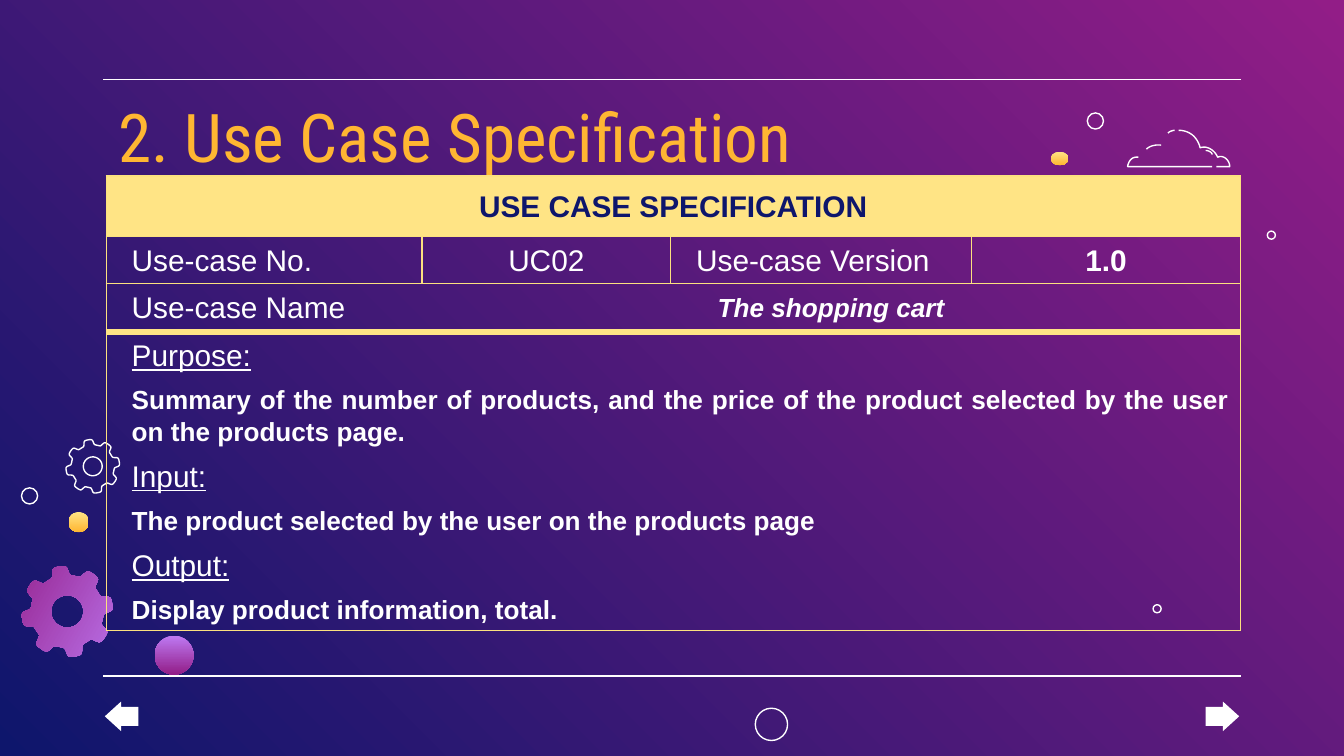
import math
from dataclasses import dataclass
from pptx import Presentation, util as u
from pptx.dml.color import RGBColor
from pptx.enum import shapes, text
from pptx.oxml import parse_xml
from pptx.oxml.ns import nsdecls


@dataclass(frozen=True)
class Theme:
    white: str = "FFFFFF"
    navy: str = "0E166C"
    magenta: str = "921D87"
    violet: str = "BE7AF3"
    yellow: str = "FFE485"
    amber: str = "FFB632"
    border: str = "FCE17F"
    title_font: str = "Roboto Condensed"
    body_font: str = "Arial"
    title: int = 36
    label: int = 16
    value: int = 14
    thin: float = 0.75
    thick: float = 4


T = Theme()
PURPLE = (T.violet, T.magenta)
GOLD = (T.yellow, T.amber)
WIDTH = 10
HEIGHT = WIDTH * 9 / 16
TITLE = "2. Use Case Specification"

HEAD = dict(size=T.label, color=T.navy, bold=True, align="CENTER")
LABEL = dict(size=T.label)
CODE = dict(size=T.label, align="CENTER")
VERSION = dict(size=T.label, bold=True, align="CENTER")
NAME = dict(size=T.value, bold=True, italic=True, align="CENTER")
TOPIC = dict(size=T.label, underline=True)
DETAIL = dict(size=T.value, bold=True)

COLS = [2.35, 1.85, 2.24, 2]
ROWS = [0.45, 0.35, 0.36, 2.22]
CELLS = [
    (0, 0, 4, [("USE CASE SPECIFICATION", HEAD)]),
    (1, 0, 1, [("Use-case No.", LABEL)]),
    (1, 1, 1, [("UC02", CODE)]),
    (1, 2, 1, [("Use-case Version", LABEL)]),
    (1, 3, 1, [("1.0", VERSION)]),
    (2, 0, 1, [("Use-case Name", LABEL)]),
    (2, 1, 3, [("The shopping cart", NAME)]),
    (3, 0, 4, [
        ("Purpose:", TOPIC),
        ("Summary of the number of products, and the price of the product "
         "selected by the user on the products page.", DETAIL),
        ("Input:", TOPIC),
        ("The product selected by the user on the products page", DETAIL),
        ("Output:", TOPIC),
        ("Display product information, total.", DETAIL),
    ]),
]

RULES = [0.59, 5.03]
ARROWS = [("LEFT_ARROW", 0.78), ("RIGHT_ARROW", 8.97)]
GEARS = [(0.5, 4.55, 0.34, 0.27, 0.12, PURPLE), (0.69, 3.47, 0.2, 0.16, 0.07, None)]
DOTS_BACK = [
    (1.15, 4.73, 0.29, 0.29, PURPLE),
    (5.62, 5.27, 0.24, 0.24, None),
    (0.51, 3.81, 0.15, 0.15, GOLD),
    (0.16, 3.63, 0.12, 0.12, None),
]
DOTS_FRONT = [
    (8.58, 4.5, 0.06, 0.06, None),
    (7.82, 1.13, 0.13, 0.1, GOLD),
    (9.43, 1.72, 0.06, 0.06, None),
    (8.09, 0.84, 0.12, 0.12, None),
]
CLOUD = [
    [(8.77, 0.97), (8.85, 0.97, 8.91, 1.02, 8.93, 1.1), (8.98, 1.08, 9.04, 1.12, 9.06, 1.17),
     (9.1, 1.15, 9.15, 1.19, 9.15, 1.24), (9.05, 1.24)],
    [(8.74, 0.97), (8.74, 0.97, 8.71, 0.97, 8.69, 0.99)],
    [(9.02, 1.24), (8.39, 1.24), (8.39, 1.24, 8.4, 1.16, 8.47, 1.17)],
    [(8.97, 1.12), (8.97, 1.12, 9.01, 1.12, 9.02, 1.15)],
    [(8.64, 1.08), (8.64, 1.08, 8.57, 1.07, 8.53, 1.11)],
]


def rgb(color):
    return RGBColor.from_string(color)


def gradient(fill, colors, angle):
    fill.gradient()
    fill.gradient_angle = angle
    for stop, color, pos in zip(fill.gradient_stops, colors, (0, 1)):
        stop.color.rgb = rgb(color)
        stop.position = pos


def outline(line):
    line.color.rgb = rgb(T.white)
    line.width = u.Pt(T.thin)


def paint(sp, colors):
    sp.shadow.inherit = False
    if colors:
        gradient(sp.fill, colors, 270)
        sp.line.fill.background()
    else:
        sp.fill.background()
        outline(sp.line)


def freeform(s, contours, close, colors=None):
    contours = [[(u.Inches(x), u.Inches(y)) for x, y in c] for c in contours]
    fb = s.shapes.build_freeform(*contours[0][0], scale=1.0)
    for i, pts in enumerate(contours):
        if i:
            fb.move_to(*pts[0])
        fb.add_line_segments(pts[1:], close=close)
    sp = fb.convert_to_shape()
    paint(sp, colors)
    return sp


def gear(s, cx, cy, tip, root, hole, colors):
    def ring(radius):
        angles = [math.radians(a) for a in range(0, 360, 2)]
        return [(cx + radius(a) * math.cos(a), cy + radius(a) * math.sin(a)) for a in angles]

    def teeth(a):
        wave = math.tanh(3 * math.cos(8 * (a - math.radians(5))))
        return (tip + root) / 2 + (tip - root) / 2 * wave

    freeform(s, [ring(teeth), ring(lambda a: hole)], True, colors).rotation = 120


def dots(s, items):
    for *box, colors in items:
        sp = s.shapes.add_shape(shapes.MSO_SHAPE.OVAL, *map(u.Inches, box))
        paint(sp, colors)


def stroke(start, *steps):
    pts = [start]
    for step in steps:
        if len(step) == 2:
            pts.append(step)
            continue
        knots = [pts[-1], step[:2], step[2:4], step[4:]]
        for t in (i / 12 for i in range(1, 13)):
            weights = [math.comb(3, k) * t ** k * (1 - t) ** (3 - k) for k in range(4)]
            pts.append(tuple(sum(w * q[d] for w, q in zip(weights, knots)) for d in (0, 1)))
    return pts


def borders(cell, row, col, start, span):
    last = start + span - 1
    top, bottom = (T.thick if row == r else T.thin for r in (3, 2))
    left = T.thin if col == start and (row, col) != (2, 1) else 0
    right = T.thin if col in (start, last) and (row, col) != (2, 0) else 0
    tcPr = cell._tc.get_or_add_tcPr()
    for side, width in zip("LRTB", (left, right, top, bottom)):
        color = T.yellow if width == T.thick else T.border
        fill = f'<a:solidFill><a:srgbClr val="{color}"/></a:solidFill>' if width else "<a:noFill/>"
        tcPr.append(parse_xml(
            f'<a:ln{side} {nsdecls("a")} w="{u.Pt(width)}">{fill}</a:ln{side}>'))


def write(tf, items):
    for i, (line, style) in enumerate(items):
        p = tf.paragraphs[0] if i == 0 else tf.add_paragraph()
        p.text = line
        align = style.get("align", "JUSTIFY")
        p.alignment = text.PP_ALIGN[align]
        if align == "JUSTIFY":
            p._p.get_or_add_pPr().set("marL", str(u.Inches(0.11)))
        p.line_spacing = 1.07
        p.space_before = u.Pt(3 if i else 0)
        p.space_after = u.Pt(3)
        f = p.runs[0].font
        f.name, f.size = T.body_font, u.Pt(style["size"])
        f.color.rgb = rgb(style.get("color", T.white))
        f.bold, f.italic = style.get("bold", False), style.get("italic", False)
        f.underline = style.get("underline", False)


def spec_table(s):
    box = map(u.Inches, (0.79, 1.31, sum(COLS), sum(ROWS)))
    tbl = s.shapes.add_table(len(ROWS), len(COLS), *box).table
    tbl.first_row = tbl.horz_banding = False
    for col, width in zip(tbl.columns, COLS):
        col.width = u.Inches(width)
    for row, height in zip(tbl.rows, ROWS):
        row.height = u.Inches(height)
    for r, c, span, items in CELLS:
        for k in range(c, c + span):
            cell = tbl.cell(r, k)
            borders(cell, r, k, c, span)
            if r == 0:
                cell.fill.solid()
                cell.fill.fore_color.rgb = rgb(T.yellow)
            else:
                cell.fill.background()
        cell = tbl.cell(r, c)
        if span > 1:
            cell.merge(tbl.cell(r, c + span - 1))
        cell.margin_left = cell.margin_right = u.Inches(0.08)
        cell.margin_top = cell.margin_bottom = u.Inches(0.04)
        centred = items[0][1].get("align") == "CENTER"
        cell.vertical_anchor = text.MSO_ANCHOR.MIDDLE if centred else text.MSO_ANCHOR.TOP
        write(cell.text_frame, items)


def title(s):
    sp = s.shapes.title
    sp.left, sp.top, sp.width, sp.height = map(u.Inches, (0.78, 0.61, 8.44, 0.66))
    tf = sp.text_frame
    tf.text = TITLE
    tf.auto_size = text.MSO_AUTO_SIZE.NONE
    tf.vertical_anchor = text.MSO_ANCHOR.TOP
    tf.margin_left = tf.margin_right = tf.margin_top = tf.margin_bottom = u.Inches(0.1)
    p = tf.paragraphs[0]
    p.alignment = text.PP_ALIGN.LEFT
    f = p.runs[0].font
    f.name, f.size, f.color.rgb = T.title_font, u.Pt(T.title), rgb(T.amber)


def main():
    prs = Presentation()
    prs.slide_width, prs.slide_height = u.Inches(WIDTH), u.Inches(HEIGHT)
    s = prs.slides.add_slide(prs.slide_layouts[5])
    gradient(s.background.fill, (T.magenta, T.navy), 225)
    title(s)
    for y in RULES:
        ends = map(u.Inches, (0.77, y, 9.23, y))
        cx = s.shapes.add_connector(shapes.MSO_CONNECTOR.STRAIGHT, *ends)
        outline(cx.line)
        cx._element.spPr.append(parse_xml(f'<a:effectLst {nsdecls("a")}/>'))
    for kind, x in ARROWS:
        sp = s.shapes.add_shape(shapes.MSO_SHAPE[kind], *map(u.Inches, (x, 5.22, 0.25, 0.22)))
        sp.adjustments[0], sp.adjustments[1] = 0.64, 0.55
        sp.shadow.inherit = False
        sp.fill.solid()
        sp.fill.fore_color.rgb = rgb(T.white)
        sp.line.fill.background()
    for item in GEARS:
        gear(s, *item)
    dots(s, DOTS_BACK)
    spec_table(s)
    dots(s, DOTS_FRONT)
    for steps in CLOUD:
        freeform(s, [stroke(*steps)], False)
    prs.save("out.pptx")


if __name__ == "__main__":
    main()
